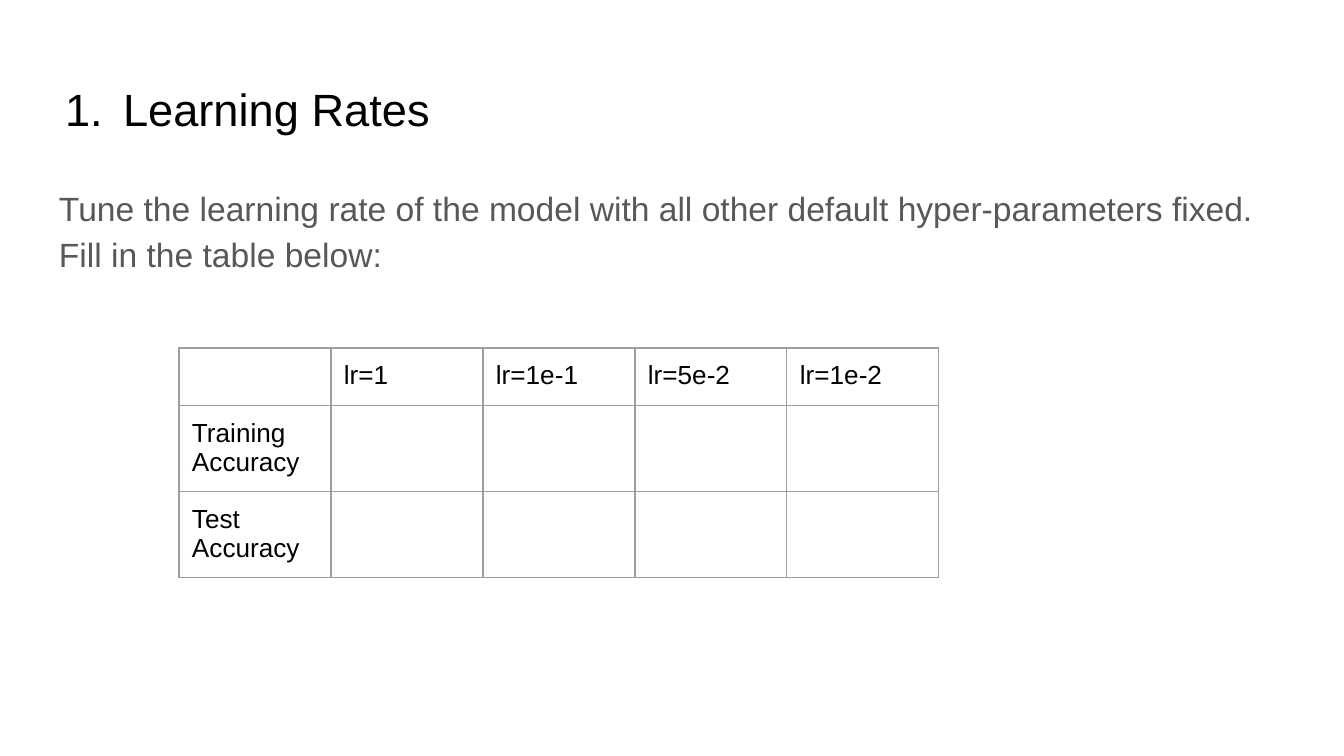
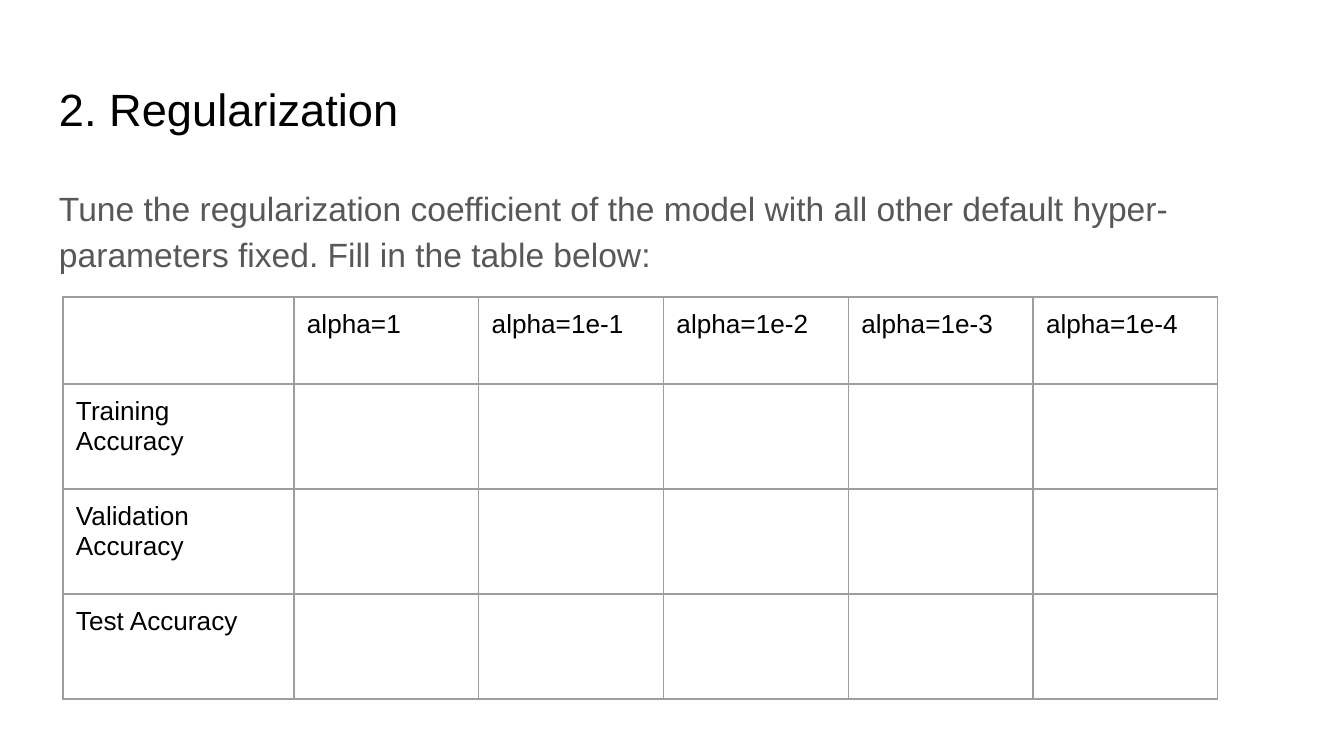
from lxml.etree import SubElement
from pptx import Presentation
from pptx.dml.color import RGBColor
from pptx.enum.text import MSO_ANCHOR, MSO_AUTO_SIZE, PP_ALIGN
from pptx.oxml.ns import qn
from pptx.util import Emu, Pt

PIXELS_PER_INCH = 134.4
COLORS = {"page": "FFFFFF", "title": "000000", "body": "585858",
          "cell": "000000", "grid": "9E9E9E"}
FONT = "Arial"
CELL_SIZE = 14
INSET = 13
TITLE_BOX = (46, 66, 1252, 85)


def px(length):
    """Turn picture pixels into EMU."""
    return Emu(round(length * 914400 / PIXELS_PER_INCH))


def place(part, box):
    """Move a placeholder to a pixel box."""
    part.left, part.top, part.width, part.height = map(px, box)


def write(frame, text, size, color, anchor=MSO_ANCHOR.TOP,
          line_spacing=None, space_before=0):
    """Write one left-aligned paragraph and return it."""
    frame.word_wrap = True
    frame.auto_size = MSO_AUTO_SIZE.NONE
    frame.vertical_anchor = anchor
    frame.margin_left = frame.margin_right = px(INSET)
    frame.margin_top = frame.margin_bottom = px(INSET)
    paragraph = frame.paragraphs[0]
    paragraph.alignment = PP_ALIGN.LEFT
    paragraph.line_spacing = line_spacing
    paragraph.space_before = Pt(space_before)
    run = paragraph.add_run()
    run.text = text
    run.font.name = FONT
    run.font.size = Pt(size)
    run.font.color.rgb = RGBColor.from_string(COLORS[color])
    return paragraph


def set_marker(paragraph, numbered=False, margin=0, indent=0):
    """Number a paragraph, or remove its bullet."""
    properties = paragraph._p.get_or_add_pPr()
    properties.set("marL", str(px(margin)))
    properties.set("indent", str(px(indent)))
    if numbered:
        SubElement(properties, qn("a:buFont"), typeface=FONT)
        SubElement(properties, qn("a:buAutoNum"), type="arabicPeriod")
    else:
        SubElement(properties, qn("a:buNone"))


def add_title(slide, text, numbered=False):
    """Fill the title placeholder, with an automatic number if wanted."""
    title = slide.shapes.title
    place(title, TITLE_BOX)
    paragraph = write(title.text_frame, text, 24.2, "title", MSO_ANCHOR.MIDDLE)
    if numbered:
        set_marker(paragraph, True, margin=64, indent=-58)


def add_task(slide, box, text, space_before=0):
    """Fill the body placeholder with the task."""
    task = slide.placeholders[1]
    place(task, box)
    set_marker(write(task.text_frame, text, 18, "body", line_spacing=1.15,
                     space_before=space_before))


def style_cell(cell):
    """Give a cell thin grey borders and no fill."""
    properties = cell._tc.get_or_add_tcPr()
    for side in ("lnL", "lnR", "lnT", "lnB"):
        line = SubElement(properties, qn(f"a:{side}"), w=str(Pt(0.75)))
        fill = SubElement(line, qn("a:solidFill"))
        SubElement(fill, qn("a:srgbClr"), val=COLORS["grid"])
    cell.fill.background()


def add_results_table(slide, box, settings, measures, label_width, header_height):
    """Add an empty results grid: settings across, measures down."""
    left, top, width, height = box
    rows = [["", *settings]] + [[name] + [""] * len(settings) for name in measures]
    table = slide.shapes.add_table(len(rows), len(rows[0]), *map(px, box)).table
    table.first_row = table.horz_banding = False
    for index, column in enumerate(table.columns):
        column.width = px((width - label_width) / len(settings) if index else label_width)
    for index, row in enumerate(table.rows):
        row.height = px((height - header_height) / len(measures) if index else header_height)
    for row, texts in zip(table.rows, rows):
        for cell, text in zip(row.cells, texts):
            style_cell(cell)
            cell.margin_left = cell.margin_right = px(INSET)
            cell.margin_top = cell.margin_bottom = px(INSET)
            if text:
                write_cell(cell, text)
            else:
                SubElement(cell.text_frame.paragraphs[0]._p, qn("a:endParaRPr"),
                           sz=str(CELL_SIZE * 100))


def write_cell(cell, text):
    """Write a label in a table cell."""
    run = cell.text_frame.paragraphs[0].add_run()
    run.text = text
    run.font.name = FONT
    run.font.size = Pt(CELL_SIZE)
    run.font.color.rgb = RGBColor.from_string(COLORS["cell"])


def add_page(deck):
    """Add a white slide with a title and a body."""
    slide = deck.slides.add_slide(deck.slide_layouts[1])
    slide.background.fill.solid()
    slide.background.fill.fore_color.rgb = RGBColor.from_string(COLORS["page"])
    return slide


def build_learning_rates(deck):
    """Build the learning rate slide."""
    slide = add_page(deck)
    add_title(slide, "Learning Rates", numbered=True)
    add_task(slide, (46, 169, 1252, 503),
             "Tune the learning rate of the model with all other default "
             "hyper-parameters fixed. Fill in the table below:")
    add_results_table(slide, (179, 348, 760, 229),
                      [f"lr={rate}" for rate in ("1", "1e-1", "5e-2", "1e-2")],
                      ["Training Accuracy", "Test Accuracy"],
                      label_width=152, header_height=57)


def build_regularization(deck):
    """Build the regularization slide."""
    slide = add_page(deck)
    add_title(slide, "2. Regularization")
    add_task(slide, (46, 169, 1252, 128),
             "Tune the regularization coefficient of the model with all other "
             "default hyper-parameters fixed. Fill in the table below:",
             space_before=16)
    add_results_table(slide, (63, 297, 1155, 402),
                      [f"alpha={value}" for value in ("1", "1e-1", "1e-2", "1e-3", "1e-4")],
                      ["Training Accuracy", "Validation Accuracy", "Test Accuracy"],
                      label_width=231, header_height=87)


deck = Presentation()
deck.slide_width, deck.slide_height = px(1344), px(756)
build_learning_rates(deck)
build_regularization(deck)
deck.save("out.pptx")
